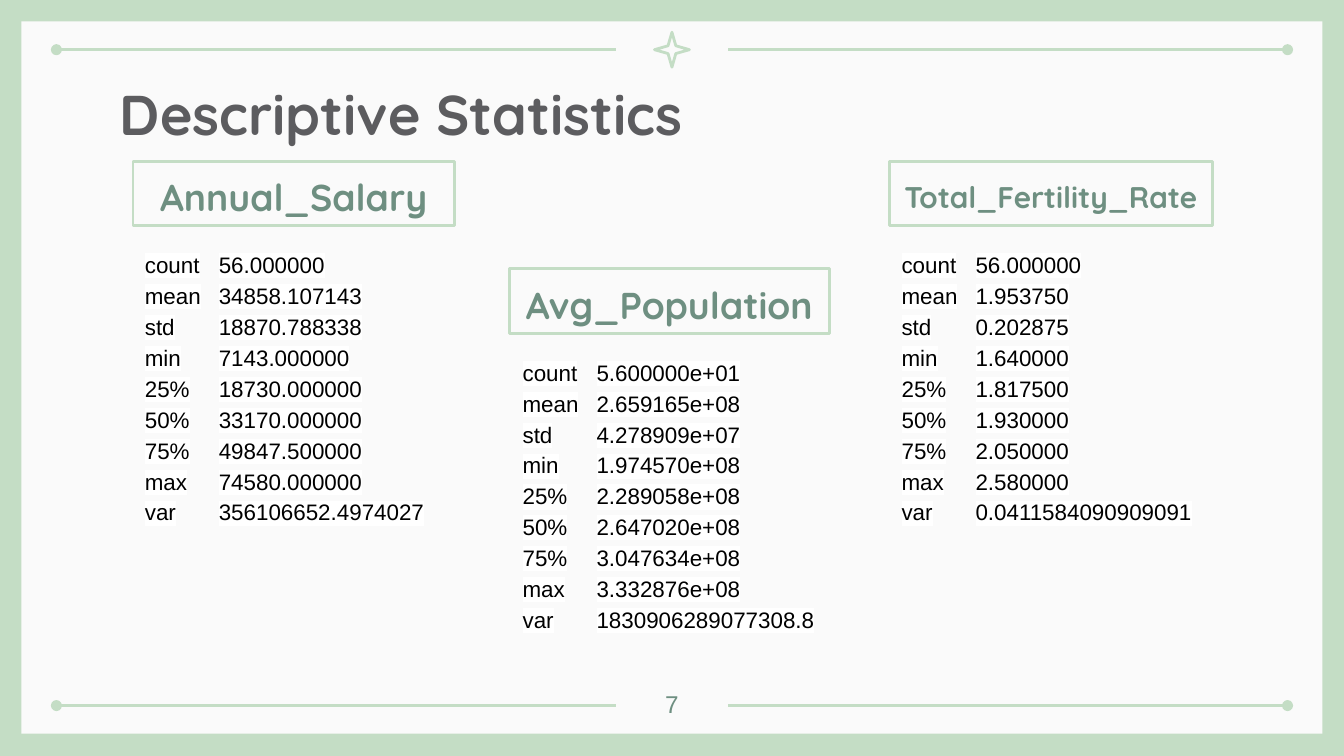
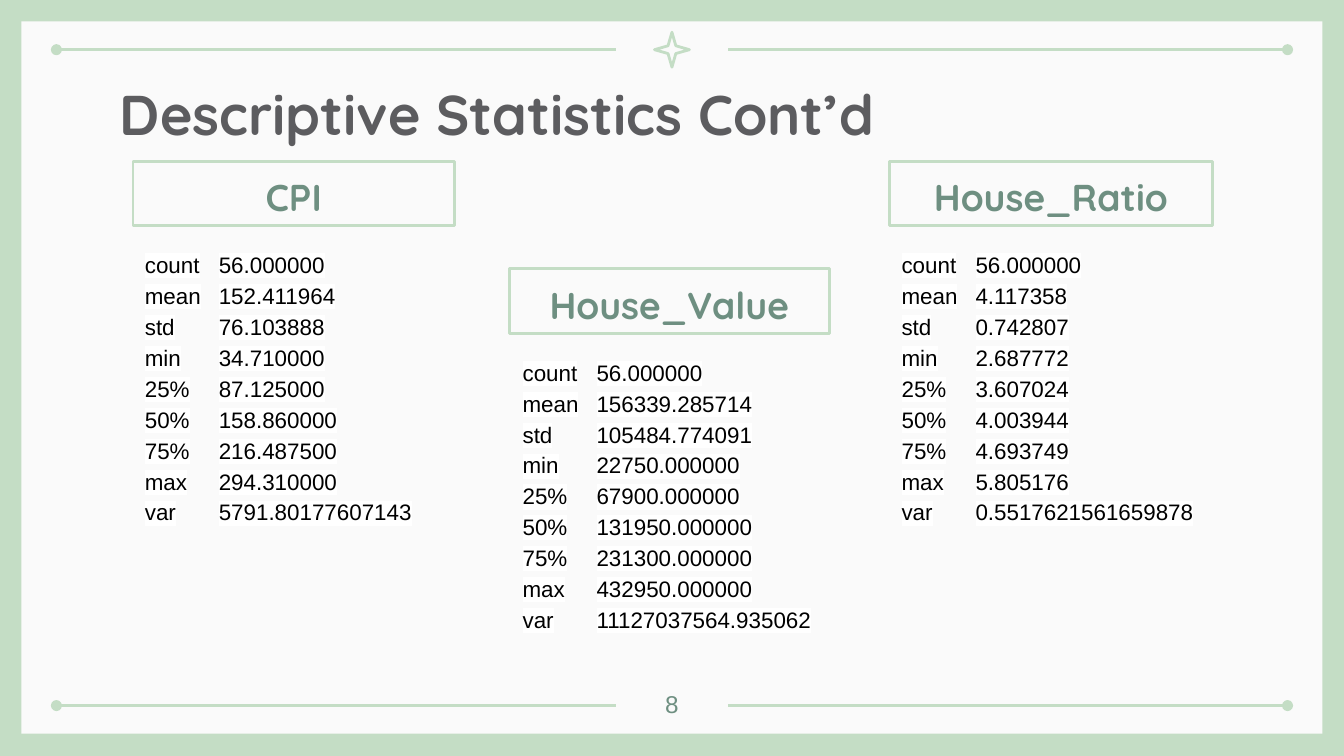
from lxml.etree import SubElement
from pptx import Presentation
from pptx.dml.color import RGBColor
from pptx.enum.shapes import MSO_CONNECTOR, MSO_SHAPE
from pptx.enum.text import MSO_ANCHOR, MSO_AUTO_SIZE, PP_ALIGN
from pptx.oxml.ns import qn
from pptx.util import Inches, Pt

GREEN, PAPER, WHITE = "C4DDC5", "FAFAFA", "FFFFFF"
SAGE, GREY, BLACK = "6E8F81", "5C5C5F", "000000"
ROWS = ["count", "mean", "std", "min", "25%", "50%", "75%", "max", "var"]

# Top of each column, then left and width of its label box and of its list
SPOTS = [
    (1.2, 0.99, 2.39, 0.98, 2.4),
    (2, 3.79, 2.38, 3.79, 2.51),
    (1.2, 6.62, 2.4, 6.61, 2.41),
]

# Title, then label, label size and values for each column
PAGES = [
    ("Descriptive Statistics", [
        ("Annual_Salary", 20, [
            "56.000000", "34858.107143", "18870.788338",
            "7143.000000", "18730.000000", "33170.000000",
            "49847.500000", "74580.000000", "356106652.4974027"]),
        ("Avg_Population", 20, [
            "5.600000e+01", "2.659165e+08", "4.278909e+07",
            "1.974570e+08", "2.289058e+08", "2.647020e+08",
            "3.047634e+08", "3.332876e+08", "1830906289077308.8"]),
        ("Total_Fertility_Rate", 16, [
            "56.000000", "1.953750", "0.202875",
            "1.640000", "1.817500", "1.930000",
            "2.050000", "2.580000", "0.0411584090909091"]),
    ]),
    ("Descriptive Statistics Cont’d", [
        ("CPI", 20, [
            "56.000000", "152.411964", "76.103888",
            "34.710000", "87.125000", "158.860000",
            "216.487500", "294.310000", "5791.80177607143"]),
        ("House_Value", 20, [
            "56.000000", "156339.285714", "105484.774091",
            "22750.000000", "67900.000000", "131950.000000",
            "231300.000000", "432950.000000", "11127037564.935062"]),
        ("House_Ratio", 20, [
            "56.000000", "4.117358", "0.742807",
            "2.687772", "3.607024", "4.003944",
            "4.693749", "5.805176", "0.5517621561659878"]),
    ]),
]


def tint(code):
    return RGBColor.from_string(code)


def write(shape, lines, size, font, color, align=PP_ALIGN.LEFT,
          anchor=MSO_ANCHOR.TOP, bold=False, gap=None):
    frame = shape.text_frame
    frame.word_wrap = True
    frame.auto_size = MSO_AUTO_SIZE.NONE
    frame.vertical_anchor = anchor
    frame.margin_left = frame.margin_right = Inches(0.1)
    frame.margin_top = frame.margin_bottom = Inches(0.1)
    for i, line in enumerate(lines):
        para = frame.add_paragraph() if i else frame.paragraphs[0]
        para.alignment = align
        para.line_spacing = gap
        run = para.add_run()
        run.text = line
        run.font.size = Pt(size)
        run.font.name = font
        run.font.bold = bold
        run.font.color.rgb = tint(color)
    return frame.paragraphs


# A 16:9 deck on a green ground
deck = Presentation()
deck.slide_width = Inches(10)
deck.slide_height = Inches(10) * 9 // 16
back = deck.slide_master.background.fill
back.solid()
back.fore_color.rgb = tint(GREEN)

# Keep only the title in the title-only layout
plan = deck.slide_layouts[5]
for holder in list(plan.placeholders):
    if holder.placeholder_format.idx != 0:
        holder.element.getparent().remove(holder.element)

# Shared frame: paper, star and four rules, moved into the layout
first = deck.slides.add_slide(plan)
paper = first.shapes.add_shape(
    MSO_SHAPE.RECTANGLE, Inches(0.16), Inches(0.16), Inches(9.68), Inches(5.3))
paper.shadow.inherit = False
paper.fill.solid()
paper.fill.fore_color.rgb = tint(PAPER)
paper.line.fill.background()

star = first.shapes.add_shape(
    MSO_SHAPE.STAR_4_POINT, Inches(4.87), Inches(0.24), Inches(0.26), Inches(0.26))
star.adjustments[0] = 0.157
star.shadow.inherit = False
star.fill.background()
star.line.color.rgb = tint(GREEN)
star.line.width = Pt(1.5)

decor = [paper, star]
for y in (0.37, 5.25):
    for x, end in ((0.42, "a:headEnd"), (5.42, "a:tailEnd")):
        rule = first.shapes.add_connector(
            MSO_CONNECTOR.STRAIGHT, Inches(x), Inches(y), Inches(x + 4.16), Inches(y))
        rule.line.color.rgb = tint(GREEN)
        rule.line.width = Pt(1.5)
        props = rule.element.spPr
        SubElement(props.find(qn("a:ln")), qn(end), type="oval")
        SubElement(props, qn("a:effectLst"))
        decor.append(rule)
for part in decor:
    plan.placeholders[0].element.getparent().append(part.element)

for num, (name, stats) in enumerate(PAGES, 7):
    slide = first if num == 7 else deck.slides.add_slide(plan)

    # Title
    title = slide.shapes.title
    title.left, title.top = Inches(0.79), Inches(0.49)
    title.width, title.height = Inches(8.43), Inches(0.63)
    write(title, [name], 30, "Quicksand", GREY, bold=True)

    for (y, x, wide, left, span), (label, size, values) in zip(SPOTS, stats):
        # Statistics, with a tab stop before the values and a white highlight
        note = slide.shapes.add_textbox(
            Inches(left), Inches(y + 0.54), Inches(span), Inches(0.69))
        lines = [f"{row}\t{value}" for row, value in zip(ROWS, values)]
        for para in write(note, lines, 12, "Arial", BLACK, gap=1.15):
            tabs = SubElement(para._p.get_or_add_pPr(), qn("a:tabLst"))
            SubElement(tabs, qn("a:tab"), pos=str(Inches(0.55)), algn="l")
            look = para.runs[0]._r.get_or_add_rPr()
            mark = SubElement(look, qn("a:highlight"))
            SubElement(mark, qn("a:srgbClr"), val=WHITE)
            look.find(qn("a:solidFill")).addnext(mark)

        # Label box
        box = slide.shapes.add_shape(
            MSO_SHAPE.RECTANGLE, Inches(x), Inches(y), Inches(wide), Inches(0.48))
        box.shadow.inherit = False
        box.fill.background()
        box.line.color.rgb = tint(GREEN)
        box.line.width = Pt(1.5)
        write(box, [label], size, "Quicksand", SAGE, PP_ALIGN.CENTER,
              MSO_ANCHOR.MIDDLE, True, 1.15)

    # Page number
    page = slide.shapes.add_textbox(
        Inches(4.7), Inches(5.03), Inches(0.6), Inches(0.36))
    write(page, [str(num)], 13, "Arial", SAGE, PP_ALIGN.CENTER)

deck.save("out.pptx")
